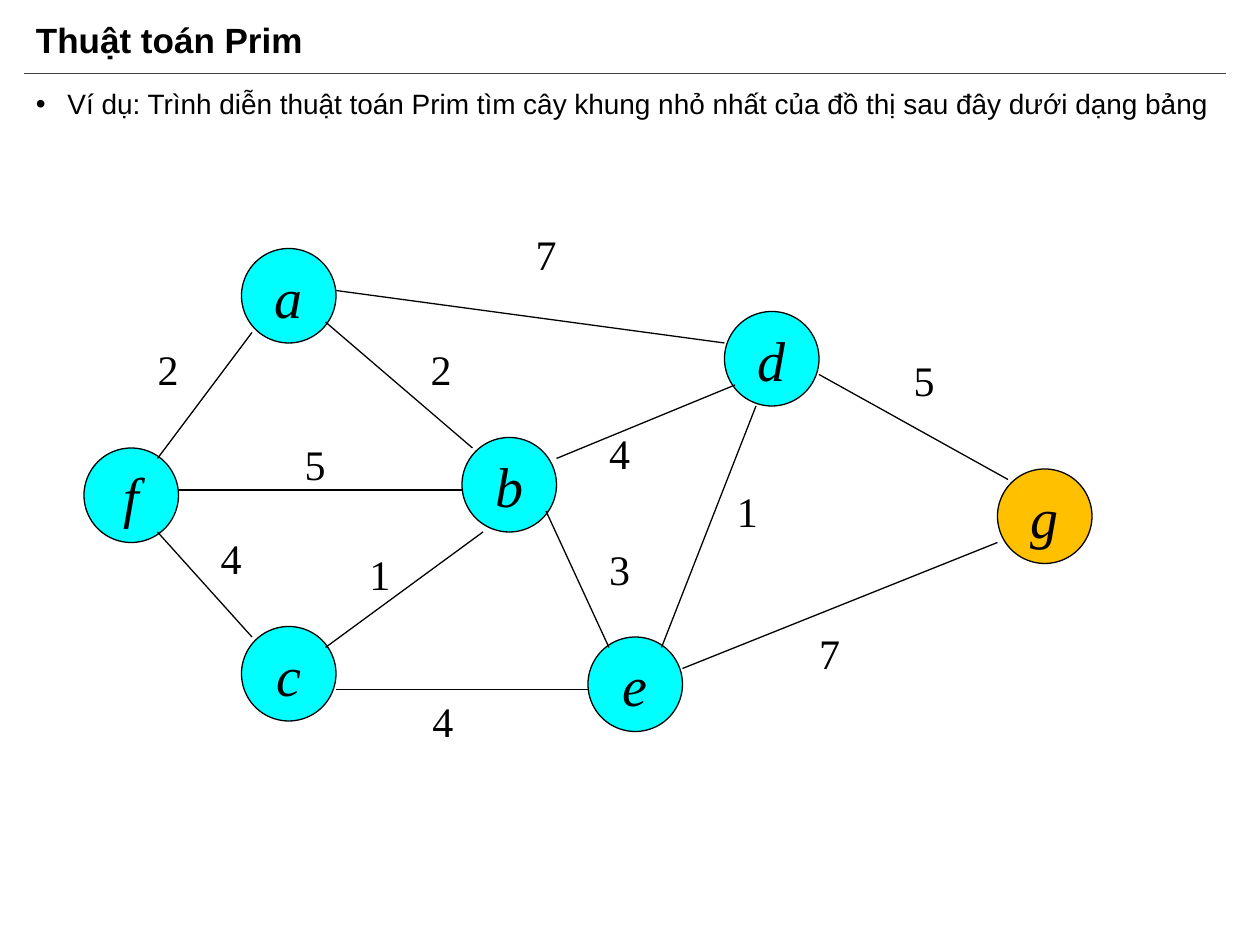
from lxml import etree
from pptx import Presentation
from pptx import util as u
from pptx.dml.color import RGBColor
from pptx.enum import shapes, text
from pptx.oxml import ns

BLACK, CYAN, AMBER, GREY = "000000", "00FFFF", "FFC000", "404040"
NODE_SIZE = 54
LABEL_WIDTH, LABEL_HEIGHT = 26.4, 36

# name: left, top, fill
NODES = {
    "f": (48, 256, CYAN),
    "d": (414, 178, CYAN),
    "a": (138, 142, CYAN),
    "b": (264, 250, CYAN),
    "c": (138, 358, CYAN),
    "e": (336, 364, CYAN),
    "g": (570, 268, AMBER),
}

# start, end, weight, left and top of the weight
EDGES = [
    ((186, 184), (270, 256), "2", (239, 193)),  # a-b
    ((144, 190), (90, 262), "2", (83, 193)),  # a-f
    ((276, 304), (186, 370), "1", (204, 310)),  # b-c
    ((90, 304), (144, 364), "4", (119, 301)),  # f-c
    ((318, 262), (420, 220), "4", (341, 241)),  # b-d
    ((192, 166), (414, 196), "7", (299, 127)),  # a-d
    ((312, 292), (348, 370), "3", (341, 307)),  # b-e
    ((192, 394), (336, 394), "4", (240, 394)),  # c-e
    ((432, 232), (378, 370), "1", (414, 274)),  # d-e
    ((390, 382), (570, 310), "7", (461, 355)),  # e-g
    ((102, 280), (264, 280), "5", (167, 247)),  # f-b
    ((468, 214), (576, 274), "5", (515, 199)),  # d-g
]


def color(hex_string):
    return RGBColor.from_string(hex_string)


class GraphSlide:
    """The current slide and the style of its elements."""

    heading_font = "Arial"
    graph_font = "Times New Roman"
    line_width = 0.75

    def __init__(self, presentation):
        self.slide = presentation.slides.add_slide(presentation.slide_layouts[6])

    def set_text(self, shape, content, size, font, bold=False, italic=False):
        """Set the text of a shape and return its paragraph."""
        shape.text_frame.text = content
        paragraph = shape.text_frame.paragraphs[0]
        style = paragraph.runs[0].font
        style.name, style.size = font, u.Pt(size)
        style.bold, style.italic = bold, italic
        style.color.rgb = color(BLACK)
        return paragraph

    def text_box(self, left, top, width, height):
        return self.slide.shapes.add_textbox(*map(u.Pt, (left, top, width, height)))

    def title(self, content):
        box = self.text_box(13.5, 6, 620, 36)
        box.text_frame.word_wrap = True
        box.text_frame.vertical_anchor = text.MSO_ANCHOR.MIDDLE
        paragraph = self.set_text(box, content, 20, self.heading_font, bold=True)
        paragraph.line_spacing = 0.9

    def bullet(self, content):
        box = self.text_box(13.5, 48, 687, 443.5)
        box.text_frame.word_wrap = True
        paragraph = self.set_text(box, content, 16, self.heading_font)
        paragraph.alignment = text.PP_ALIGN.JUSTIFY
        paragraph.line_spacing = 0.9
        paragraph.space_before = u.Pt(12)
        properties = paragraph._p.get_or_add_pPr()
        properties.set("marL", str(u.Pt(18)))
        properties.set("indent", str(-u.Pt(18)))
        etree.SubElement(properties, ns.qn("a:buFont"), typeface=self.heading_font)
        etree.SubElement(properties, ns.qn("a:buChar"), char="•")

    def line(self, start, end, line_color=BLACK, width=line_width):
        connector = self.slide.shapes.add_connector(
            shapes.MSO_CONNECTOR.STRAIGHT, *map(u.Pt, (*start, *end)))
        connector.line.color.rgb = color(line_color)
        connector.line.width = u.Pt(width)
        etree.SubElement(connector._element.spPr, ns.qn("a:effectLst"))

    def node(self, name, left, top, fill):
        shape = self.slide.shapes.add_shape(
            shapes.MSO_SHAPE.OVAL, *map(u.Pt, (left, top, NODE_SIZE, NODE_SIZE)))
        shape.shadow.inherit = False
        shape.fill.solid()
        shape.fill.fore_color.rgb = color(fill)
        shape.line.color.rgb = color(BLACK)
        shape.line.width = u.Pt(self.line_width)
        shape.text_frame.word_wrap = False
        shape.text_frame.vertical_anchor = text.MSO_ANCHOR.MIDDLE
        paragraph = self.set_text(shape, name, 32, self.graph_font, italic=True)
        paragraph.alignment = text.PP_ALIGN.CENTER

    def weight(self, value, left, top):
        box = self.text_box(left, top, LABEL_WIDTH, LABEL_HEIGHT)
        box.text_frame.word_wrap = False
        box.text_frame.auto_size = text.MSO_AUTO_SIZE.SHAPE_TO_FIT_TEXT
        self.set_text(box, value, 24, self.graph_font)


def main():
    presentation = Presentation()
    presentation.slide_width, presentation.slide_height = u.Pt(720), u.Pt(540)
    graph = GraphSlide(presentation)
    graph.title("Thuật toán Prim")
    graph.line((13.5, 42), (700.5, 42), GREY, 0.5)
    graph.bullet("Ví dụ: Trình diễn thuật toán Prim tìm cây khung nhỏ nhất "
                 "của đồ thị sau đây dưới dạng bảng")
    for name, (left, top, fill) in NODES.items():
        graph.node(name, left, top, fill)
    for start, end, value, position in EDGES:
        graph.line(start, end)
        graph.weight(value, *position)
    presentation.save("out.pptx")


if __name__ == "__main__":
    main()
